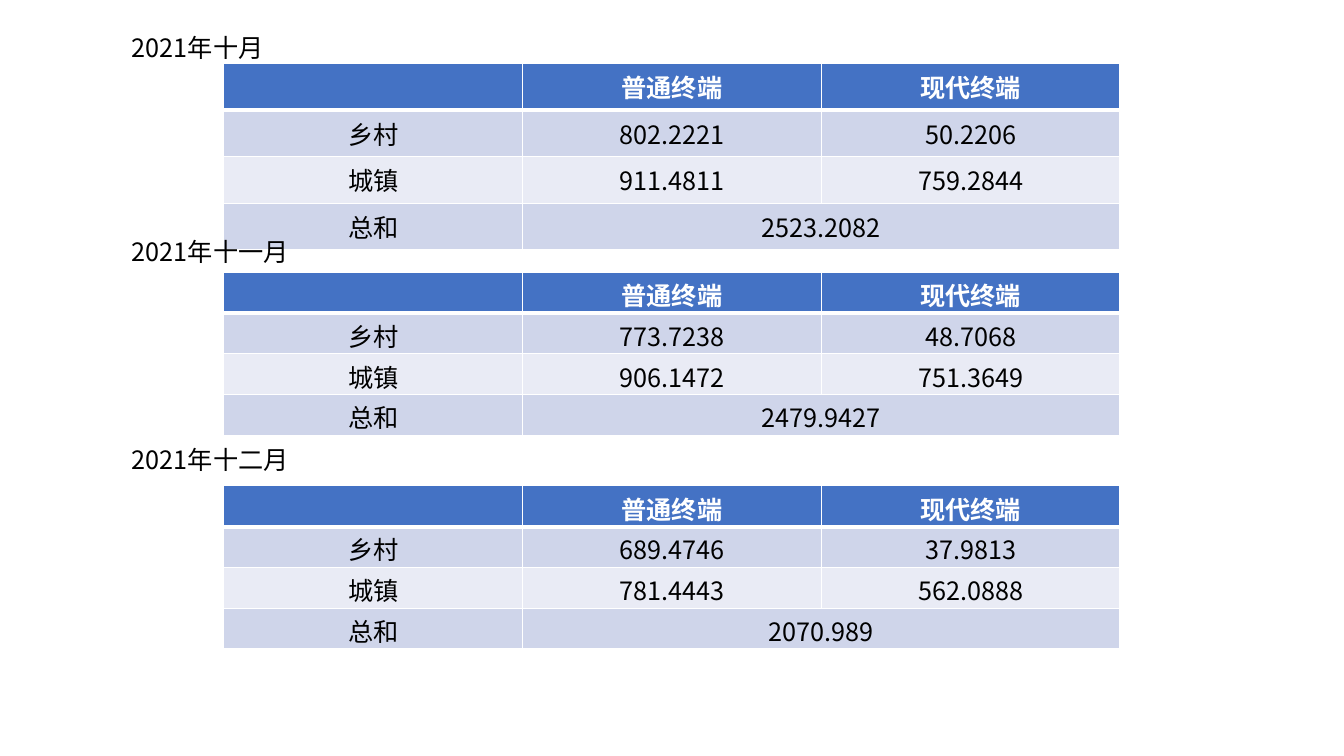
from dataclasses import dataclass

import pptx
import pptx.dml.color
import pptx.enum.text
import pptx.oxml.ns
import pptx.util
from lxml import etree
from pptx.util import Inches


@dataclass(frozen=True)
class Theme:
    font: str = "Noto Sans CJK SC"
    size: int = 18
    text: str = "000000"
    header_text: str = "FFFFFF"
    border: str = "FFFFFF"
    header: str = "4472C4"
    bands: tuple = ("CFD5EA", "E9EBF5")
    thin: int = 1
    thick: int = 3


THEME = Theme()
TABLE_LEFT, TABLE_WIDTH, TABLE_HEIGHT = 2.22, 8.89, 1.62
LABEL_LEFT, LABEL_WIDTH, LABEL_HEIGHT = 1.21, 2.43, 0.4
HEADINGS = ["", "普通终端", "现代终端"]
NORMAL_MARGINS = {"margin_top": Inches(0.05), "margin_bottom": Inches(0.05)}
TIGHT_MARGINS = {"margin_top": Inches(0.04), "margin_bottom": Inches(0)}

# month, label top, table top, cell margins, rural, urban, total
MONTHS = [
    ("2021年十月", 0.27, 0.63, NORMAL_MARGINS,
     ["802.2221", "50.2206"], ["911.4811", "759.2844"], "2523.2082"),
    ("2021年十一月", 2.3, 2.7, TIGHT_MARGINS,
     ["773.7238", "48.7068"], ["906.1472", "751.3649"], "2479.9427"),
    ("2021年十二月", 4.36, 4.82, TIGHT_MARGINS,
     ["689.4746", "37.9813"], ["781.4443", "562.0888"], "2070.989"),
]


def rgb(value):
    return pptx.dml.color.RGBColor.from_string(value)


def apply_format(target, values):
    for name, value in values.items():
        setattr(target, name, value)


def write_text(paragraph, text, color, bold=False):
    """Write one run, with the theme font for Latin and East Asian characters."""
    run = paragraph.add_run()
    run.text = text
    apply_format(run.font, {"name": THEME.font, "size": pptx.util.Pt(THEME.size), "bold": bold})
    run.font.color.rgb = rgb(color)
    east_asian = etree.SubElement(run.font._element, pptx.oxml.ns.qn("a:ea"))
    east_asian.set("typeface", THEME.font)


def set_borders(cell, widths):
    """Put border lines, given as {side: points}, ahead of the cell's fill."""
    properties = cell._tc.get_or_add_tcPr()
    for position, (side, points) in enumerate(widths.items()):
        line = etree.Element(pptx.oxml.ns.qn(f"a:ln{side}"), w=str(pptx.util.Pt(points)))
        fill = etree.SubElement(line, pptx.oxml.ns.qn("a:solidFill"))
        etree.SubElement(fill, pptx.oxml.ns.qn("a:srgbClr"), val=THEME.border)
        properties.insert(position, line)


def format_cell(cell, row, text, margins):
    is_header = row == 0
    apply_format(cell, margins)
    cell.fill.solid()
    cell.fill.fore_color.rgb = rgb(THEME.header if is_header else THEME.bands[(row - 1) % 2])
    set_borders(cell, {
        "L": THEME.thin,
        "R": THEME.thin,
        "T": THEME.thick if row == 1 else THEME.thin,
        "B": THEME.thick if is_header else THEME.thin,
    })
    paragraph = cell.text_frame.paragraphs[0]
    paragraph.alignment = pptx.enum.text.PP_ALIGN.CENTER
    if text:
        write_text(paragraph, text, THEME.header_text if is_header else THEME.text, is_header)
    else:
        paragraph.font.size = pptx.util.Pt(THEME.size)


def add_sales_table(slide, top, margins, rural, urban, total):
    rows = [HEADINGS, ["乡村", *rural], ["城镇", *urban], ["总和", total, ""]]
    table = slide.shapes.add_table(
        len(rows), len(HEADINGS), Inches(TABLE_LEFT), Inches(top),
        Inches(TABLE_WIDTH), Inches(TABLE_HEIGHT)).table
    for row, texts in enumerate(rows):
        for column, text in enumerate(texts):
            format_cell(table.cell(row, column), row, text, margins)
    last = len(rows) - 1
    table.cell(last, 1).merge(table.cell(last, 2))


def add_month_label(slide, month, top):
    frame = slide.shapes.add_textbox(
        Inches(LABEL_LEFT), Inches(top), Inches(LABEL_WIDTH), Inches(LABEL_HEIGHT)).text_frame
    apply_format(frame, {
        "word_wrap": True,
        "auto_size": pptx.enum.text.MSO_AUTO_SIZE.SHAPE_TO_FIT_TEXT,
    })
    write_text(frame.paragraphs[0], month, THEME.text)


def main():
    deck = pptx.Presentation()
    apply_format(deck, {"slide_width": Inches(13.33), "slide_height": Inches(7.5)})
    slide = deck.slides.add_slide(deck.slide_layouts[6])
    for month, label_top, table_top, margins, rural, urban, total in MONTHS:
        add_sales_table(slide, table_top, margins, rural, urban, total)
        add_month_label(slide, month, label_top)
    deck.save("out.pptx")


if __name__ == "__main__":
    main()
